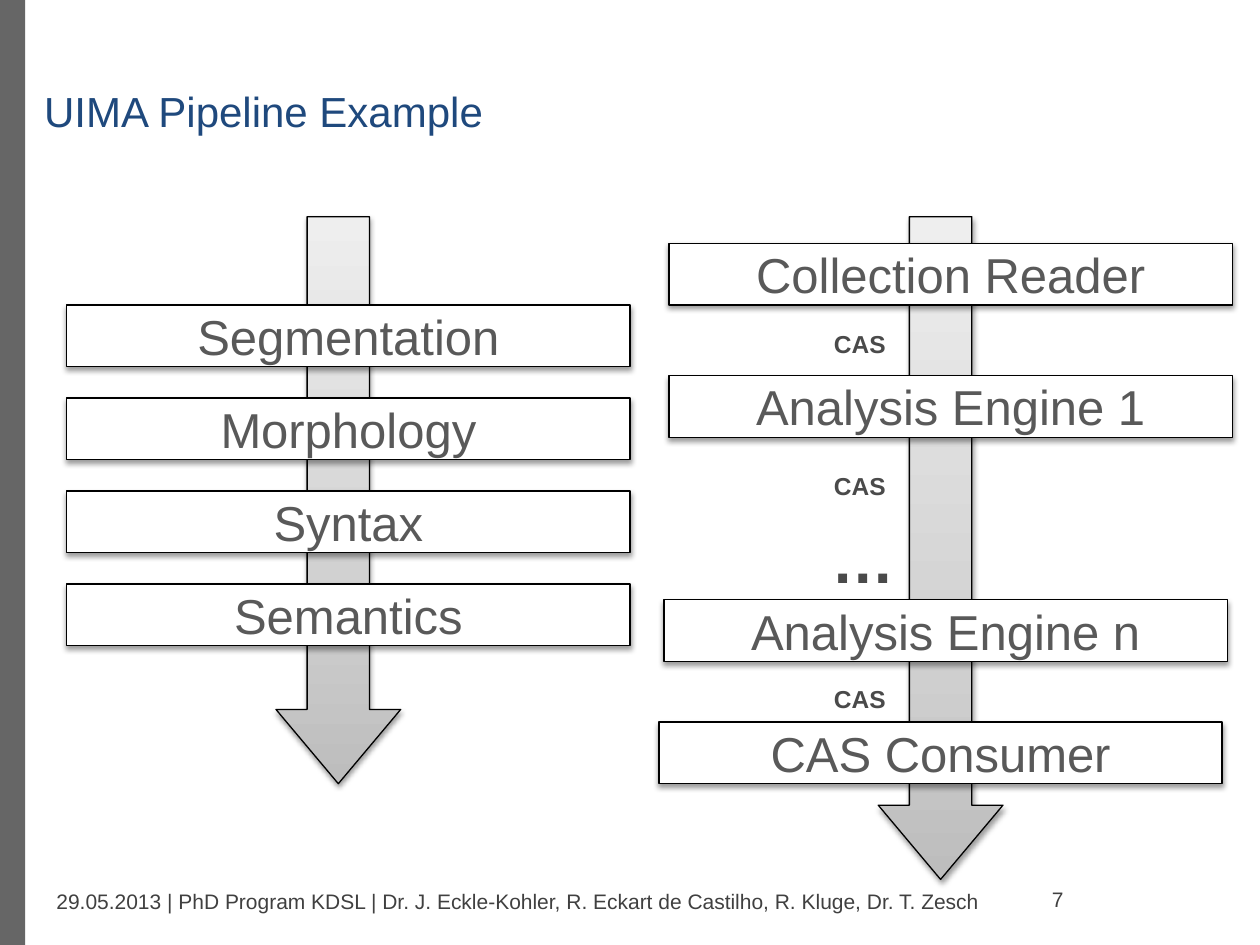
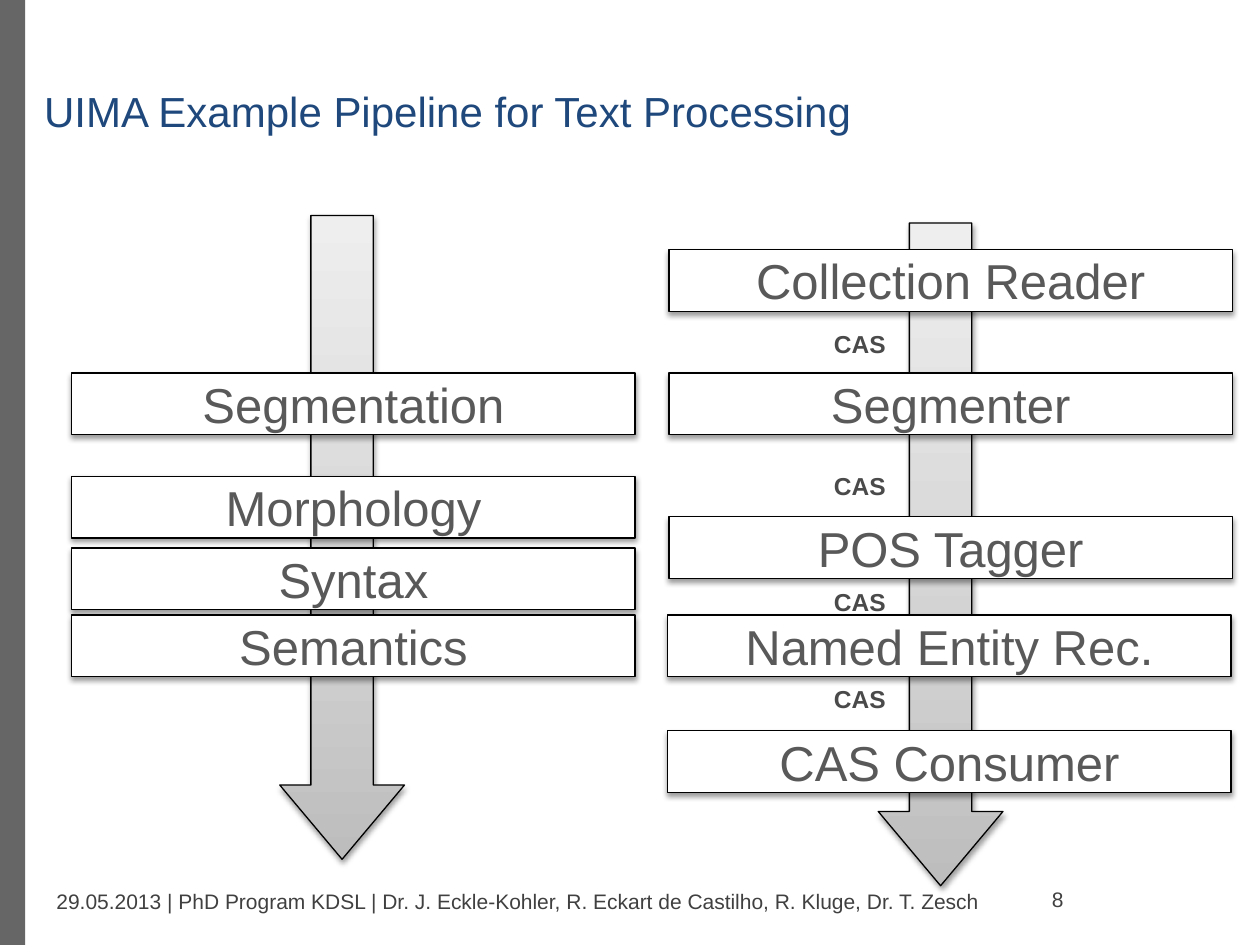
import pptx
import pptx.util
import pptx.dml.color
import pptx.enum.shapes
import pptx.enum.text
import lxml.etree
from dataclasses import dataclass

Pt = pptx.util.Pt
Kind = pptx.enum.shapes.MSO_SHAPE
Fit = pptx.enum.text.MSO_AUTO_SIZE
Side = pptx.enum.text.PP_ALIGN
Hold = pptx.enum.text.MSO_ANCHOR
NS = "http://schemas.openxmlformats.org/drawingml/2006/main"


@dataclass
class Theme:
    font: str = "Arial"
    band: str = "666666"
    title: str = "1F497D"
    stage: str = "595959"
    label: str = "4A4A4A"
    foot: str = "404040"
    paper: str = "FFFFFF"
    edge: str = "000000"
    fade: tuple = ((0, "BDBDBD"), (35, "D1D1D1"), (100, "EEEEEE"))
    head_pt: int = 24
    stage_pt: int = 28
    label_pt: int = 14
    dots_pt: int = 36
    foot_pt: int = 12


def rgb(code):
    return pptx.dml.color.RGBColor.from_string(code)


def node(up, tag, **attrs):
    return lxml.etree.SubElement(up, f"{{{NS}}}{tag}", attrs)


class Deck:
    """Style and current slide; lengths are cells of a 100 by 75 grid."""
    COLS, ROWS = 100, 75
    BAR_W, BAR_H = 44.7, 4.9      # stage bar
    ARROW_W = 9.9

    def __init__(self, theme):
        self.look = theme
        self.prs = pptx.Presentation()
        self.prs.slide_width = pptx.util.Inches(10)
        self.prs.slide_height = pptx.util.Inches(7.5)
        self.page = None

    def place(self, x, y, w, h):
        col = self.prs.slide_width / self.COLS
        row = self.prs.slide_height / self.ROWS
        return [round(v) for v in (x * col, y * row, w * col, h * row)]

    def words(self, frame, text, size, color, bold=None, align=Side.LEFT):
        par = frame.paragraphs[0]
        par.alignment = align
        run = par.add_run()
        run.text = text
        font = run.font
        font.name, font.size, font.bold = self.look.font, Pt(size), bold
        font.color.rgb = rgb(color)

    def start(self, title, num):
        self.page = self.prs.slides.add_slide(self.prs.slide_layouts[5])
        if num == FIRST:
            self.band()
        head = self.page.shapes.title
        head.left, head.top, head.width, head.height = self.place(
            3.5, 6.8, 95.3, 7.5)
        frame = head.text_frame
        frame.margin_left = frame.margin_right = 0
        frame.margin_top = frame.margin_bottom = 0
        frame.vertical_anchor, frame.auto_size = Hold.TOP, Fit.NONE
        self.words(frame, title, self.look.head_pt, self.look.title)

    def band(self):
        """Side band, moved to the master so that all slides share it."""
        bar = self.page.shapes.add_shape(
            Kind.RECTANGLE, *self.place(0, 0, 2, self.ROWS))
        bar.shadow.inherit = False
        bar.fill.solid()
        bar.fill.fore_color.rgb = rgb(self.look.band)
        bar.line.fill.background()
        bar.element.nvSpPr.cNvPr.set("id", "99")
        self.prs.slide_master.shapes.element.insert(2, bar.element)

    def trim(self, shape):
        """Thin edge and soft shadow below."""
        shape.line.color.rgb = rgb(self.look.edge)
        shape.line.width = Pt(0.75)
        shape.shadow.inherit = False
        glow = shape.element.spPr.find(f"{{{NS}}}effectLst")
        cast = node(glow, "outerShdw", blurRad="40000", dist="20000",
                    dir="5400000", rotWithShape="0")
        node(node(cast, "srgbClr", val=self.look.edge), "alpha", val="38000")

    def arrow(self, group, x, y, h):
        shape = group.shapes.add_shape(
            Kind.DOWN_ARROW, *self.place(x, y, self.ARROW_W, h))
        shape.adjustments[0], shape.adjustments[1] = 0.5, 0.595
        shape.fill.gradient()
        shape.fill.gradient_angle = 90
        stops = shape.element.spPr.find(f".//{{{NS}}}gsLst")
        for old in list(stops):
            stops.remove(old)
        for pos, color in self.look.fade:
            node(node(stops, "gs", pos=str(pos * 1000)), "srgbClr", val=color)
        self.trim(shape)

    def stage(self, group, text, x, y):
        bar = group.shapes.add_shape(
            Kind.RECTANGLE, *self.place(x, y, self.BAR_W, self.BAR_H))
        bar.fill.solid()
        bar.fill.fore_color.rgb = rgb(self.look.paper)
        self.trim(bar)
        bar.text_frame.vertical_anchor = Hold.MIDDLE
        self.words(bar.text_frame, text, self.look.stage_pt,
                   self.look.stage, align=Side.CENTER)

    def flow(self, arrow, stages):
        """Arrow with its stages as one group."""
        group = self.page.shapes.add_group_shape()
        self.arrow(group, *arrow)
        for item in stages:
            self.stage(group, *item)

    def label(self, text, x, y, w, h, size):
        box = self.page.shapes.add_textbox(*self.place(x, y, w, h))
        box.text_frame.word_wrap = False
        box.text_frame.auto_size = Fit.SHAPE_TO_FIT_TEXT
        self.words(box.text_frame, text, size, self.look.label, bold=True)

    def cas(self, rows):
        for y in rows:
            self.label("CAS", 65.2, y, 6.2, 3.4, self.look.label_pt)

    def foot(self, text, num):
        for part, spot in ((text, (3.5, 69.5, 78, 4)),
                           (str(num), (82.5, 69.4, 7, 4))):
            box = self.page.shapes.add_textbox(*self.place(*spot))
            box.text_frame.word_wrap = True
            box.text_frame.vertical_anchor = Hold.MIDDLE
            self.words(box.text_frame, part, self.look.foot_pt,
                       self.look.foot)


FIRST = 7
NOTE = ("29.05.2013 | PhD Program KDSL | Dr. J. Eckle-Kohler, "
        "R. Eckart de Castilho, R. Kluge, Dr. T. Zesch")
STEPS = ("Segmentation", "Morphology", "Syntax", "Semantics")
deck = Deck(Theme())

# General pipeline
deck.start("UIMA Pipeline Example", FIRST)
deck.flow((69.7, 17.2, 52.6), [
    ("Collection Reader", 53.1, 19.3),
    ("Analysis Engine 1", 53.1, 29.8),
    ("Analysis Engine n", 52.7, 47.6),
    ("CAS Consumer", 52.3, 57.3)])
deck.flow((21.9, 17.2, 45),
          [(step, 5.3, 24.2 + 7.38 * i) for i, step in enumerate(STEPS)])
deck.cas((25.6, 36.9, 53.8))
deck.label("…", 65, 40.8, 7.1, 7.1, deck.look.dots_pt)
deck.foot(NOTE, FIRST)

# Pipeline for text processing
deck.start("UIMA Example Pipeline for Text Processing", FIRST + 1)
deck.flow((69.7, 17.7, 52.6), [
    ("Collection Reader", 53.1, 19.8),
    ("Segmenter", 53.1, 29.6),
    ("POS Tagger", 53.1, 41),
    ("Named Entity Rec.", 53, 48.8),
    ("CAS Consumer", 53, 58)])
deck.flow((22.2, 17.1, 51.1),
          [(step, 5.7, y) for step, y in zip(STEPS, (29.6, 37.8, 43.5, 48.8))])
deck.cas((25.6, 36.9, 46.1, 53.8))
deck.foot(NOTE, FIRST + 1)

deck.prs.save("out.pptx")
